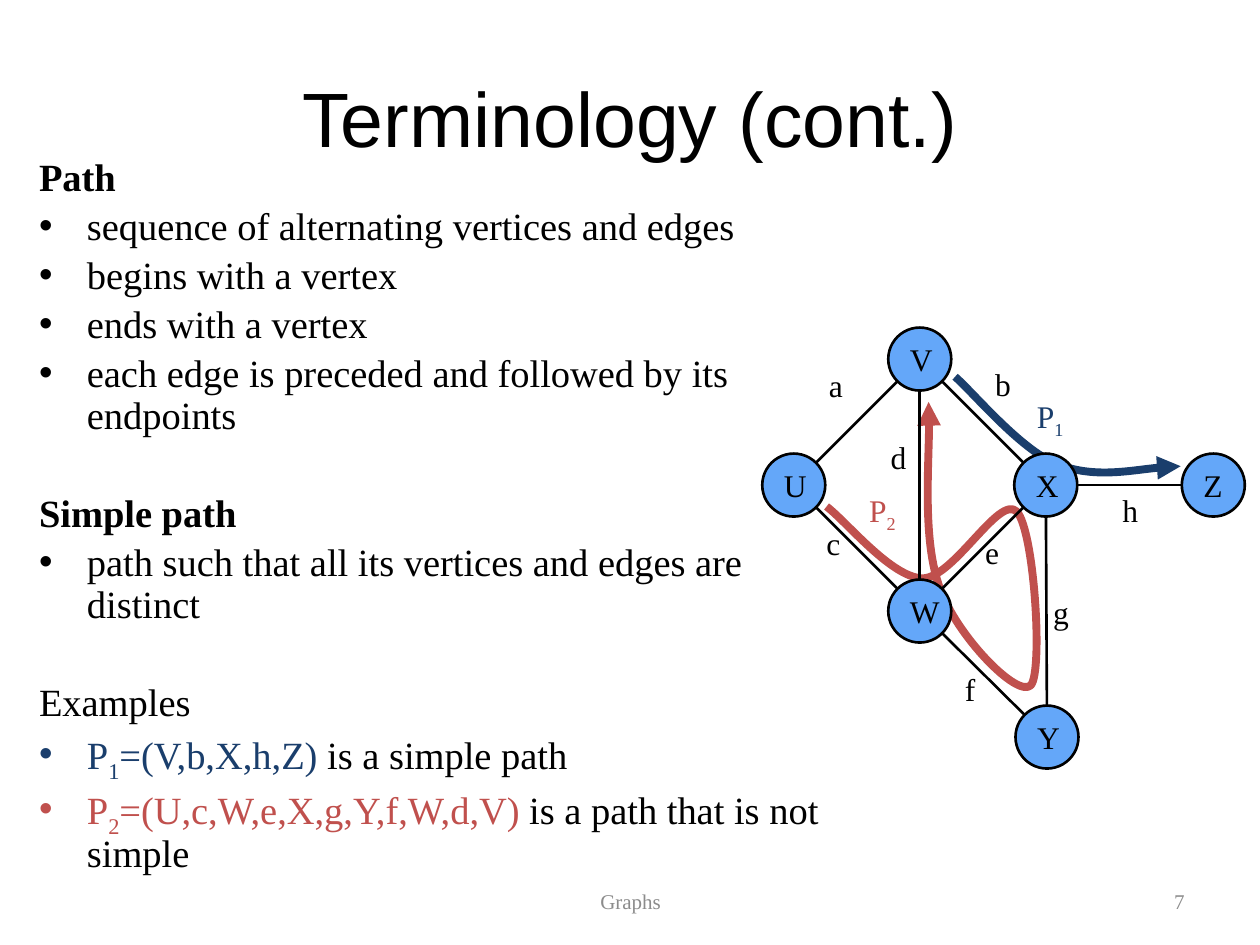
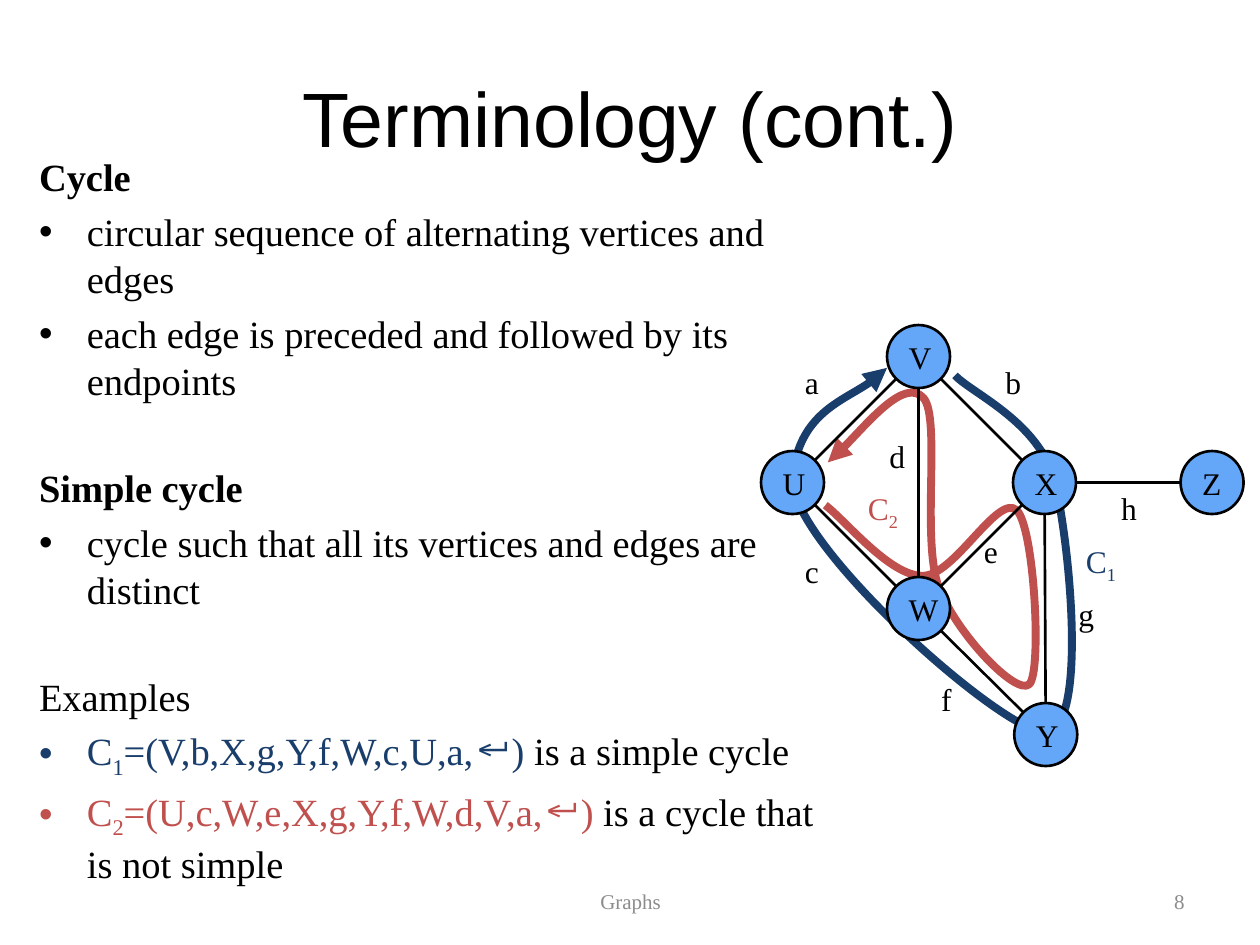
from dataclasses import dataclass
from math import hypot
from typing import Any, NamedTuple

from lxml.etree import SubElement
from pptx import Presentation
from pptx.dml.color import RGBColor
from pptx.enum.shapes import MSO_CONNECTOR as Link, MSO_SHAPE as Preset
from pptx.enum.text import MSO_ANCHOR as Anchor, MSO_AUTO_SIZE as Fit, PP_ALIGN as Align
from pptx.oxml.ns import qn
from pptx.util import Emu, Pt

PX = 9144
BLACK, GREY, BLUE, RED, SKY = "000000", "8C8C8C", "1A3E6C", "C0504D", "64A7F9"
SERIF, SANS = "Times New Roman", "Arial"
RADIUS = 25
INDENT = 38
LABEL_WIDTHS = {"a": 38, "c": 36, "e": 38, "f": 31, "P1": 51, "P2": 51, "C1": 52, "C2": 52}
NODES = {"V": (730, 285), "U": (630, 385), "X": (830, 385),
         "W": (730, 485), "Z": (963, 385), "Y": (831, 585)}
EDGES = ("VU", "WU", "WX", "XZ", "VX", "VW", "WY", "XY")
SNUG = {"word_wrap": False, "auto_size": Fit.SHAPE_TO_FIT_TEXT}


class Span(NamedTuple):
    text: str
    color: str = BLACK
    lowered: bool = False


class Label(NamedTuple):
    text: str
    x: int
    y: int
    color: str = BLACK


class Route(NamedTuple):
    color: str
    arrow: str
    points: list[tuple[int, int]]


@dataclass
class Line:
    spans: list[Span]
    bullet: bool = False
    bold: bool = False
    gap: bool = False
    example: bool = False


@dataclass
class Lesson:
    number: int
    area: tuple[int, int, int, int]
    pitch: float
    ratio: float
    heading_gap: float
    shift: tuple[int, int]
    lines: list[Line]
    routes: list[Route]
    labels: list[Label]


def px(value: float) -> Emu:
    return Emu(round(value * PX))


def paint(color: str) -> RGBColor:
    return RGBColor.from_string(color)


def apply(target: Any, values: dict[str, Any]) -> None:
    for name, value in values.items():
        setattr(target, name, value)


def place(shape: Any, area: tuple[int, int, int, int]) -> None:
    apply(shape, dict(zip(("left", "top", "width", "height"), map(px, area))))


def write(para: Any, spans: list[Span], size: int, face: str = SERIF, bold: bool = False) -> None:
    for item in spans:
        span = para.add_run()
        span.text = item.text
        apply(span.font, {"size": Pt(size), "name": face, "bold": bold})
        span.font.color.rgb = paint(item.color)
        if item.lowered:
            span.font._element.set("baseline", "-25000")


def indexed(name: str, color: str) -> list[Span]:
    return [Span(name[0], color)] + [Span(digit, color, True) for digit in name[1:]]


def heading(text: str, bold: bool = True, gap: bool = True) -> Line:
    return Line([Span(text)], bold=bold, gap=gap)


def item(text: str) -> Line:
    return Line([Span(text)], bullet=True)


def example(name: str, steps: str, verdict: str, color: str) -> Line:
    spans = indexed(name, color) + [Span(f"=({steps})", color), Span(verdict)]
    return Line(spans, bullet=True, example=True)


def set_bullet(para: Any, shown: bool) -> None:
    props = para._p.get_or_add_pPr()
    props.set("marL", str(px(INDENT if shown else 0)))
    props.set("indent", str(px(-INDENT if shown else 0)))
    if shown:
        SubElement(props, qn("a:buFont")).set("typeface", SANS)
        SubElement(props, qn("a:buChar")).set("char", "•")
    else:
        SubElement(props, qn("a:buNone"))


def fill_body(body: Any, lesson: Lesson) -> None:
    place(body, lesson.area)
    frame = body.text_frame
    apply(frame, {"word_wrap": True, "auto_size": Fit.NONE, "vertical_anchor": Anchor.TOP})
    for index, line in enumerate(lesson.lines):
        para = frame.add_paragraph() if index else frame.paragraphs[0]
        set_bullet(para, line.bullet)
        before = lesson.heading_gap if line.gap else 4.4
        apply(para, {
            "space_before": Pt(before if index else 0),
            "line_spacing": lesson.ratio if line.example else Pt(lesson.pitch),
        })
        write(para, line.spans, 22, bold=line.bold)


def add_footer(page: Any, text: str, area: tuple[int, int, int, int], align: Align) -> None:
    box = page.shapes.add_textbox(*map(px, area))
    apply(box.text_frame, {"word_wrap": True, "vertical_anchor": Anchor.MIDDLE})
    para = box.text_frame.paragraphs[0]
    para.alignment = align
    write(para, [Span(text, GREY)], 12)


def stroke(shape: Any, color: str, width: float) -> None:
    shape.line.color.rgb = paint(color)
    shape.line.width = Pt(width)


def draw_route(page: Any, route: Route) -> None:
    start, *rest = route.points
    builder = page.shapes.build_freeform(*start, scale=PX)
    builder.add_line_segments(rest, close=False)
    curve = builder.convert_to_shape()
    outline = next(curve._element.iter(qn("a:path")))
    segments = outline.findall(qn("a:lnTo"))
    for first in range(0, len(segments), 3):
        bend = SubElement(outline, qn("a:cubicBezTo"))
        for segment in segments[first:first + 3]:
            bend.append(segment[0])
            outline.remove(segment)
    curve.shadow.inherit = False
    curve.fill.background()
    stroke(curve, route.color, 4.5)
    SubElement(curve.line._get_or_add_ln(), qn(f"a:{route.arrow}")).set("type", "triangle")


def draw_node(page: Any, name: str, x: int, y: int) -> None:
    area = (x - RADIUS, y - RADIUS, 2 * RADIUS, 2 * RADIUS)
    node = page.shapes.add_shape(Preset.OVAL, *map(px, area))
    node.shadow.inherit = False
    node.fill.solid()
    node.fill.fore_color.rgb = paint(SKY)
    stroke(node, BLACK, 1.5)
    apply(node.text_frame, {"word_wrap": False, "vertical_anchor": Anchor.MIDDLE})
    para = node.text_frame.paragraphs[0]
    para.alignment = Align.LEFT
    write(para, [Span(name)], 18)


def draw_edge(page: Any, start: tuple[int, int], end: tuple[int, int]) -> None:
    (x1, y1), (x2, y2) = start, end
    trim = RADIUS / hypot(x2 - x1, y2 - y1)
    dx, dy = (x2 - x1) * trim, (y2 - y1) * trim
    ends = (x1 + dx, y1 + dy, x2 - dx, y2 - dy)
    edge = page.shapes.add_connector(Link.STRAIGHT, *map(px, ends))
    stroke(edge, BLACK, 1.5)
    SubElement(edge._element.spPr, qn("a:effectLst"))


def draw_label(page: Any, label: Label) -> None:
    area = (label.x, label.y, LABEL_WIDTHS.get(label.text, 39), 50)
    box = page.shapes.add_textbox(*map(px, area))
    apply(box.text_frame, SNUG)
    write(box.text_frame.paragraphs[0], indexed(label.text, label.color), 18)


def draw_graph(page: Any, lesson: Lesson) -> None:
    dx, dy = lesson.shift
    centres = {name: (x + dx, y + dy) for name, (x, y) in NODES.items()}
    for route in lesson.routes:
        draw_route(page, route)
    for name, centre in centres.items():
        draw_node(page, name, *centre)
    for start, end in EDGES:
        draw_edge(page, centres[start], centres[end])
    for label in lesson.labels:
        draw_label(page, label)


def add_lesson(deck: Any, lesson: Lesson) -> None:
    page = deck.slides.add_slide(deck.slide_layouts[1])
    title, body = page.placeholders
    place(title, (50, 30, 900, 125))
    title.text_frame.vertical_anchor = Anchor.MIDDLE
    para = title.text_frame.paragraphs[0]
    para.alignment = Align.CENTER
    write(para, [Span("Terminology (cont.)")], 44, SANS)
    fill_body(body, lesson)
    add_footer(page, "Graphs", (342, 695, 317, 40), Align.CENTER)
    add_footer(page, str(lesson.number), (717, 695, 233, 40), Align.RIGHT)
    draw_graph(page, lesson)


PATHS = Lesson(
    7, (21, 120, 664, 588), 23.7, 0.9, 32.4, (0, 0),
    [heading("Path", gap=False),
     item("sequence of alternating vertices and edges"),
     item("begins with a vertex"),
     item("ends with a vertex"),
     item("each edge is preceded and followed by its endpoints"),
     heading("Simple path"),
     item("path such that all its vertices and edges are distinct"),
     heading("Examples", bold=False),
     example("P1", "V,b,X,h,Z", " is a simple path", BLUE),
     example("P2", "U,c,W,e,X,g,Y,f,W,d,V", " is a path that is not simple", RED)],
    [Route(RED, "headEnd", [
        (737, 319), (739, 344), (732, 429), (746, 467), (759, 504), (807, 554), (818, 544),
        (828, 534), (821, 421), (807, 406), (793, 392), (757, 459), (732, 459),
        (707, 458), (672, 414), (656, 402)]),
     Route(BLUE, "tailEnd", [
         (758, 299), (772, 311), (809, 356), (838, 368), (868, 380), (917, 370), (937, 370)])],
    [Label("P1", 813, 310, BLUE), Label("a", 648, 286), Label("c", 646, 411),
     Label("b", 780, 285), Label("e", 772, 418), Label("d", 697, 343), Label("f", 756, 527),
     Label("g", 826, 466), Label("h", 881, 385), Label("P2", 680, 385, RED)],
)

CYCLES = Lesson(
    8, (21, 116, 660, 588), 26.9, 1.0, 34.4, (-1, -2),
    [heading("Cycle", gap=False),
     item("circular sequence of alternating vertices and edges"),
     item("each edge is preceded and followed by its endpoints"),
     heading("Simple cycle"),
     item("cycle such that all its vertices and edges are distinct"),
     heading("Examples", bold=False),
     example("C1", "V,b,X,g,Y,f,W,c,U,a,↵", " is a simple cycle", BLUE),
     example("C2", "U,c,W,e,X,g,Y,f,W,d,V,a,↵", " is a cycle that is not simple", RED)],
    [Route(BLUE, "tailEnd", [
        (758, 298), (771, 312), (825, 335), (837, 382), (849, 430), (864, 582), (829, 581),
        (795, 581), (625, 430), (629, 379), (634, 328), (689, 310), (704, 292)]),
     Route(RED, "headEnd", [
         (657, 367), (669, 358), (718, 299), (733, 316), (747, 332), (731, 428), (745, 466),
         (759, 503), (807, 553), (817, 543), (827, 533), (821, 419), (807, 405),
         (792, 391), (757, 458), (732, 457), (706, 457), (671, 413), (655, 401)])],
    [Label("C1", 852, 425, BLUE), Label("a", 629, 283), Label("c", 629, 433),
     Label("b", 788, 283), Label("e", 771, 417), Label("d", 696, 342), Label("f", 737, 535),
     Label("g", 846, 467), Label("h", 880, 383), Label("C2", 679, 383, RED)],
)


def main() -> None:
    deck = Presentation()
    apply(deck, {"slide_width": px(1000), "slide_height": px(750)})
    for lesson in (PATHS, CYCLES):
        add_lesson(deck, lesson)
    deck.save("out.pptx")


if __name__ == "__main__":
    main()
